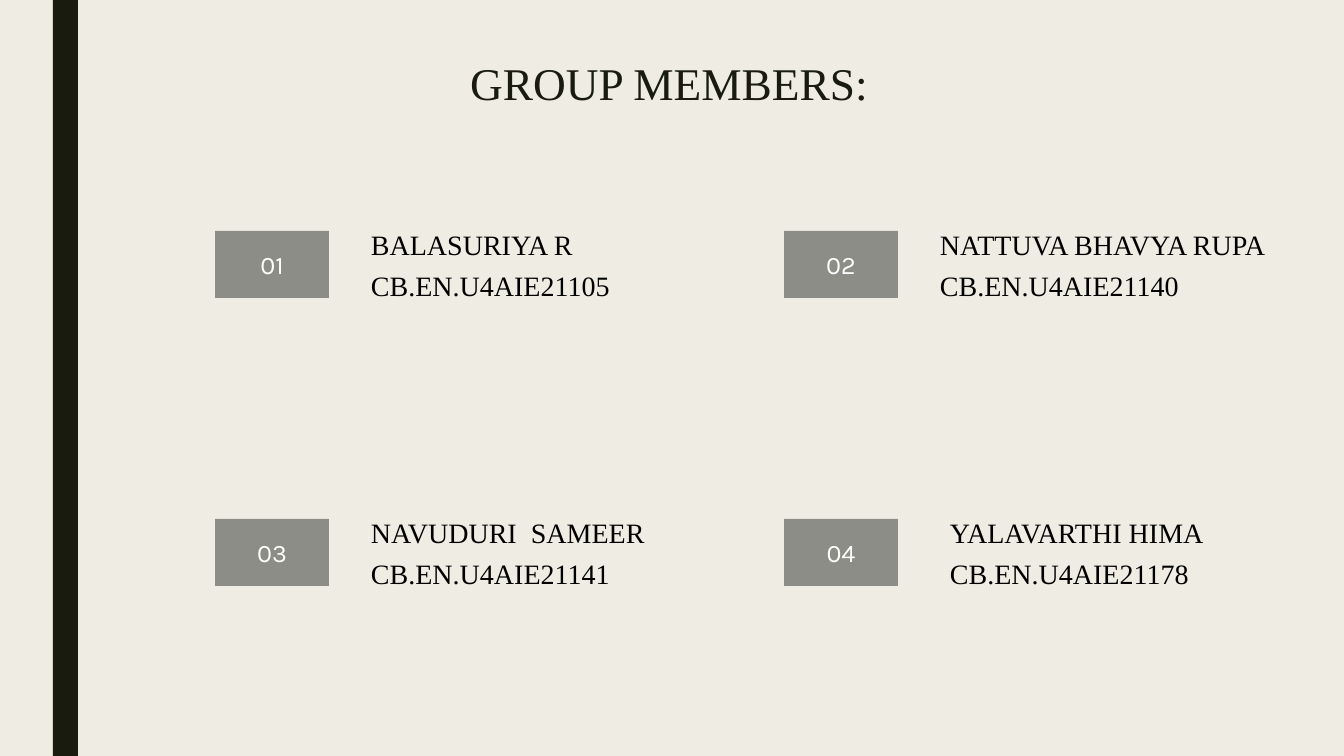
"""Builds the group members slide with four numbered entries."""
import dataclasses

import pptx
import pptx.dml.color
import pptx.enum.shapes
import pptx.enum.text
import pptx.shapes.autoshape
import pptx.slide
import pptx.text.text
import pptx.util

EMU_PER_PX = 12192000 / 1344
SERIF = "Times New Roman"
INK, CREAM, GREY = "191B0E", "EFEDE3", "8C8D86"
FIRST_BADGE_LEFT, FIRST_BADGE_TOP = 215, 231
COLUMN_STEP, ROW_STEP = 569, 288
BADGE_WIDTH, BADGE_HEIGHT = 114, 67
DETAILS_OFFSET, DETAILS_RISE, DETAILS_HEIGHT = 146, 9, 86


@dataclasses.dataclass(frozen=True)
class Member:
    name: str
    roll_number: str
    details_width: int
    indent: int = 0


MEMBERS = [
    Member("BALASURIYA R", "CB.EN.U4AIE21105", 310),
    Member("NATTUVA BHAVYA RUPA", "CB.EN.U4AIE21140", 391),
    Member("NAVUDURI  SAMEER", "CB.EN.U4AIE21141", 331),
    Member("YALAVARTHI HIMA", "CB.EN.U4AIE21178", 337, indent=10),
]


def px(length: int) -> int:
    return pptx.util.Emu(round(length * EMU_PER_PX))


def colour(code: str) -> pptx.dml.color.RGBColor:
    return pptx.dml.color.RGBColor.from_string(code)


def write(frame: pptx.text.text.TextFrame, lines: list[str], *, size: float,
          font: str, ink: str, align: str = "LEFT", spacing: float = 1.0,
          gap: float = 0) -> None:
    frame.word_wrap = True
    frame.auto_size = pptx.enum.text.MSO_AUTO_SIZE.NONE
    frame.vertical_anchor = pptx.enum.text.MSO_ANCHOR.MIDDLE
    for index, line in enumerate(lines):
        paragraph = frame.add_paragraph() if index else frame.paragraphs[0]
        paragraph.alignment = pptx.enum.text.PP_ALIGN[align]
        paragraph.line_spacing = spacing
        paragraph.space_before = pptx.util.Pt(gap if index else 0)
        run = paragraph.add_run()
        run.text = line
        run.font.name = font
        run.font.size = pptx.util.Pt(size)
        run.font.color.rgb = colour(ink)


def add_block(slide: pptx.slide.Slide, left: int, top: int, width: int,
              height: int, fill: str) -> pptx.shapes.autoshape.Shape:
    block = slide.shapes.add_shape(
        pptx.enum.shapes.MSO_SHAPE.RECTANGLE,
        px(left), px(top), px(width), px(height))
    block.shadow.inherit = False
    block.fill.solid()
    block.fill.fore_color.rgb = colour(fill)
    block.line.fill.background()
    return block


def add_member(slide: pptx.slide.Slide, index: int, member: Member) -> None:
    row, column = divmod(index, 2)
    left = FIRST_BADGE_LEFT + column * COLUMN_STEP
    top = FIRST_BADGE_TOP + row * ROW_STEP
    badge = add_block(slide, left, top, BADGE_WIDTH, BADGE_HEIGHT, GREY)
    write(badge.text_frame, [f"{index + 1:02}"], size=18, font="Karla",
          ink="FFFFFF", align="CENTER")
    details = slide.shapes.add_textbox(
        px(left + DETAILS_OFFSET + member.indent), px(top - DETAILS_RISE),
        px(member.details_width), px(DETAILS_HEIGHT))
    write(details.text_frame, [member.name, member.roll_number], size=20,
          font=SERIF, ink="000000", gap=5.6)


def main() -> None:
    deck = pptx.Presentation()
    deck.slide_width, deck.slide_height = px(1344), px(756)
    slide = deck.slides.add_slide(deck.slide_layouts.get_by_name("Title Only"))
    slide.background.fill.solid()
    slide.background.fill.fore_color.rgb = colour(CREAM)
    add_block(slide, 53, 0, 25, 756, INK)

    title = slide.shapes.title
    title.left, title.top, title.width, title.height = map(px, (460, 53, 424, 65))
    write(title.text_frame, ["GROUP MEMBERS:"], size=32.4, font=SERIF, ink=INK,
          spacing=0.89)

    for index, member in enumerate(MEMBERS):
        add_member(slide, index, member)
    deck.save("out.pptx")


if __name__ == "__main__":
    main()
